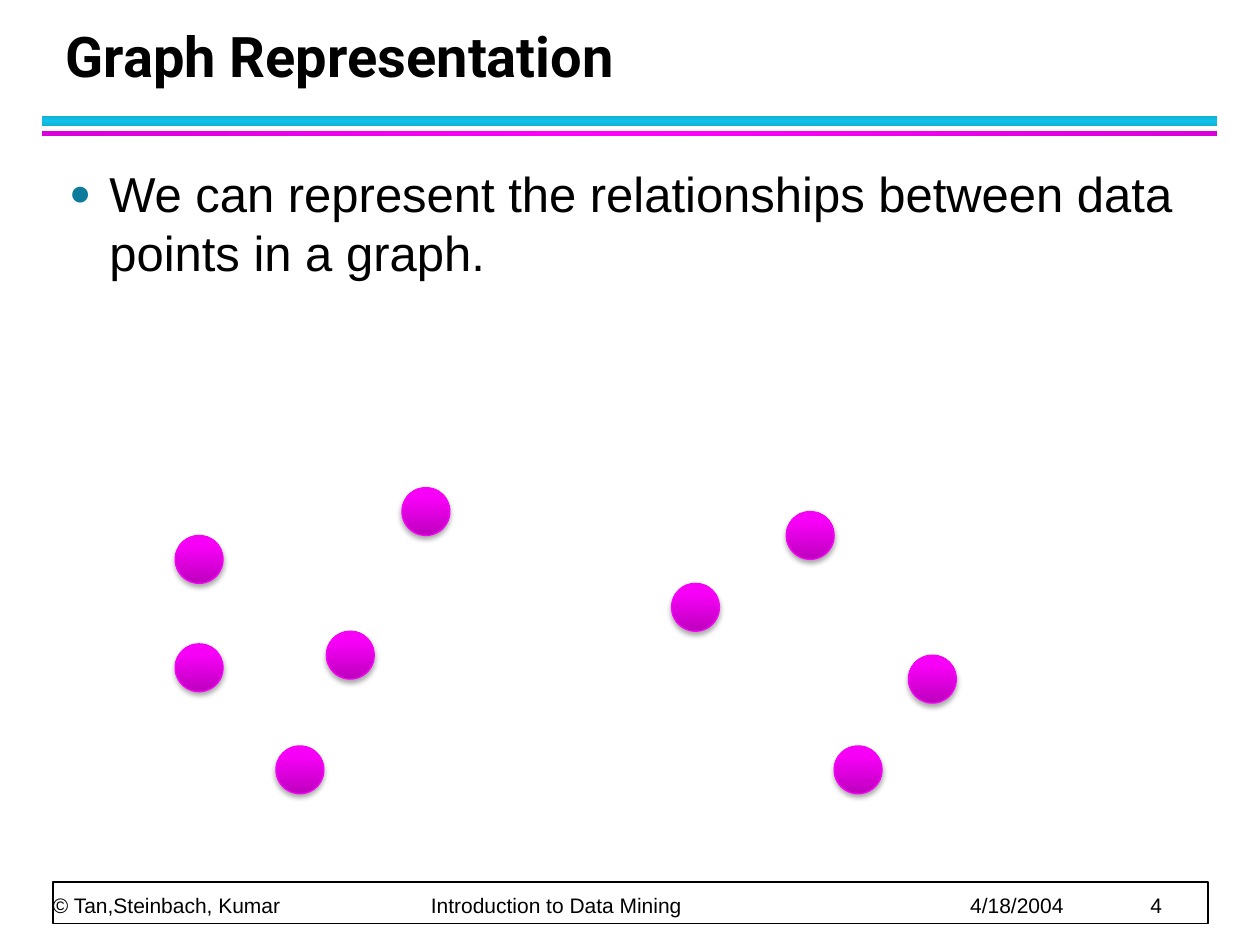
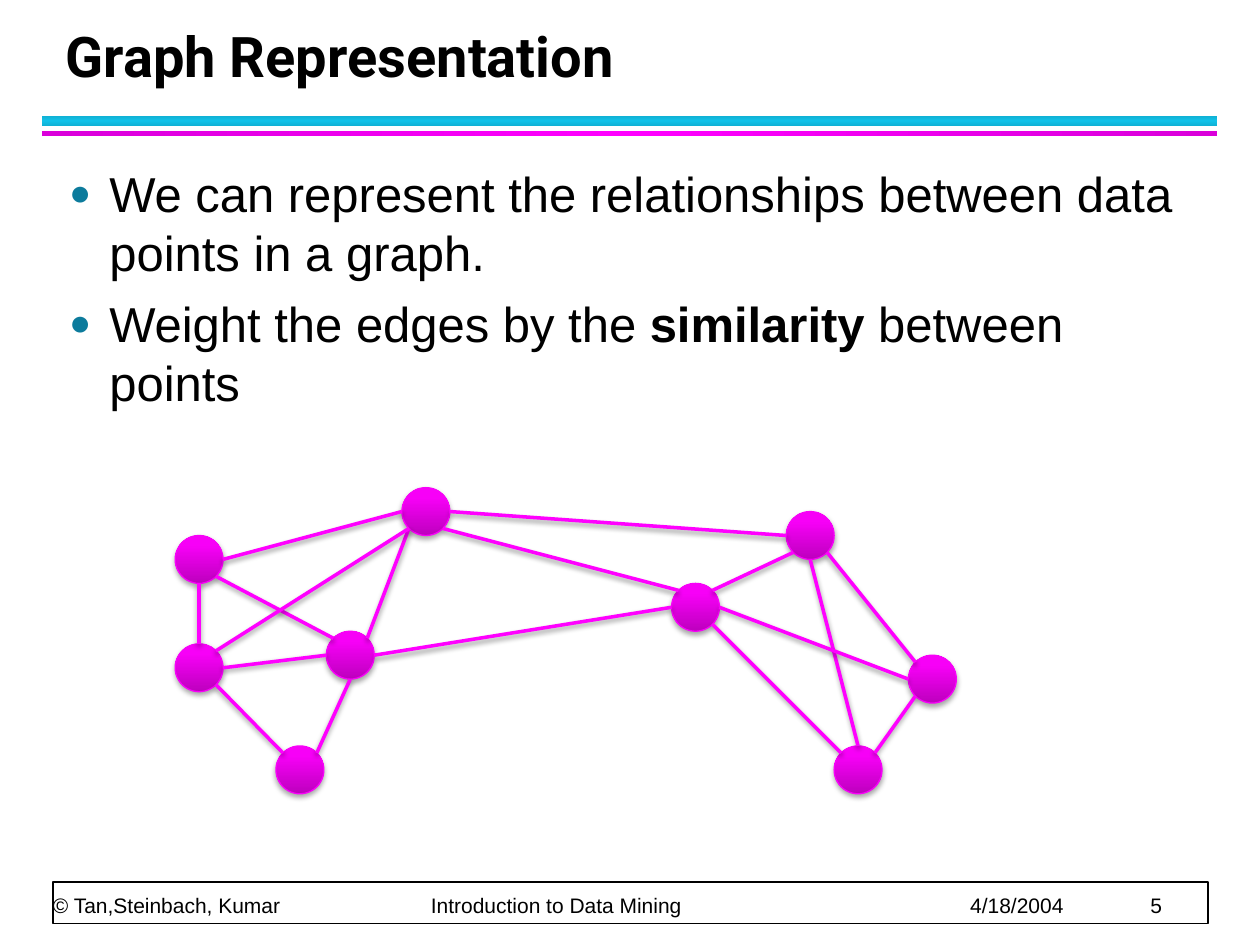
"""Build two slides that turn data points into a similarity graph."""
import math
from typing import Any, NamedTuple

import pptx
import pptx.dml.color
import pptx.enum.shapes
import pptx.enum.text
import pptx.oxml
import pptx.oxml.ns
import pptx.slide
import pptx.util
from pptx.util import Inches

BLACK, WHITE, MAGENTA = "000000", "FFFFFF", "FF00FF"
BULLET, NODE_LINE = "0C7B9C", "F900F9"
NODE_SIZE = 0.38
SHAPE = pptx.enum.shapes.MSO_SHAPE
ANCHOR = pptx.enum.text.MSO_ANCHOR
TITLE_FONT = {"name": "Roboto", "size": pptx.util.Pt(32), "bold": True}
BODY_FONT = {"name": "Arial", "size": pptx.util.Pt(28)}
FOOTER_FONT = {"name": "Arial", "size": pptx.util.Pt(12)}
BODY_SPACING = {"space_before": pptx.util.Pt(3), "space_after": pptx.util.Pt(4)}
NO_INSETS = {f"margin_{side}": 0 for side in ("left", "top", "right", "bottom")}


class Box(NamedTuple):
    """Left, top, width and height in inches."""
    left: float
    top: float
    width: float
    height: float

    def emu(self) -> list[int]:
        """Return the four lengths in slide units."""
        return [Inches(v) for v in self]


class Gradient(NamedTuple):
    """Colour stops by percentage and a direction in degrees."""
    stops: dict[int, str]
    angle: int


class Bar(NamedTuple):
    """A gradient band under the title."""
    box: Box
    gradient: Gradient


class Node(NamedTuple):
    """A data point, placed by its top left corner."""
    left: float
    top: float

    def site(self, index: int) -> tuple[int, int]:
        """Return connection site index, counted counterclockwise from the top."""
        r, angle = NODE_SIZE / 2, math.radians(45 * index)
        return (Inches(self.left + r - r * math.sin(angle)),
                Inches(self.top + r - r * math.cos(angle)))


class Edge(NamedTuple):
    """A link from one node's site to another's."""
    start: str
    start_site: int
    end: str
    end_site: int


class Run(NamedTuple):
    """A piece of text, bold or not."""
    text: str
    bold: bool = False


BARS = [
    Bar(Box(0.33, 0.92, 9.33, 0.08), Gradient({0: "10B0D3", 50: "12C2E9", 100: "10B0D3"}, 90)),
    Bar(Box(0.33, 1.04, 9.33, 0.04), Gradient({0: "DA00DA", 50: MAGENTA, 100: "DA00DA"}, 0)),
]
NODE_FILL = Gradient({0: "BE00BE", 80: "F700F7", 100: "F800F8"}, 270)
NODES = {
    "A": Node(1.39, 4.25), "B": Node(1.39, 5.11), "C": Node(2.59, 5.01),
    "D": Node(3.19, 3.87), "E": Node(5.33, 4.63), "F": Node(6.24, 4.06),
    "G": Node(7.21, 5.2), "H": Node(6.62, 5.92), "I": Node(2.19, 5.92),
}
EDGES = [
    Edge("A", 6, "D", 2), Edge("D", 3, "C", 7), Edge("C", 1, "A", 5),
    Edge("A", 4, "B", 0), Edge("B", 5, "I", 1), Edge("C", 4, "I", 7),
    Edge("B", 6, "C", 2), Edge("B", 7, "D", 3), Edge("D", 6, "F", 2),
    Edge("C", 6, "E", 2), Edge("E", 1, "D", 5), Edge("E", 5, "H", 1),
    Edge("H", 7, "G", 3), Edge("F", 5, "G", 1), Edge("E", 7, "F", 3),
    Edge("F", 4, "H", 0), Edge("E", 6, "G", 2),
]
RELATIONSHIPS = [Run("We can represent the relationships between data points in a graph.")]
WEIGHTS = [Run("Weight the edges by the "), Run("similarity", True), Run(" between points")]


def rgb(value: str) -> pptx.dml.color.RGBColor:
    """Turn a hex string into a colour."""
    return pptx.dml.color.RGBColor.from_string(value)


def xml(markup: str) -> Any:
    """Parse one drawing element, given without its a: namespace declaration."""
    tag, rest = markup[1:].split(" ", 1)
    return pptx.oxml.parse_xml(f"<{tag} {pptx.oxml.ns.nsdecls('a')} {rest}")


def apply(target: Any, values: dict[str, Any]) -> None:
    """Set each named attribute on the target."""
    for name, value in values.items():
        setattr(target, name, value)


def add_shape(s: pptx.slide.Slide, kind: Any, box: Box, gradient: Gradient | None = None,
              line: str | None = None, width: float = 1) -> Any:
    """Add a shape with a gradient or white fill and an optional outline."""
    shape = s.shapes.add_shape(kind, *box.emu())
    shape.shadow.inherit = False
    if gradient:
        stops = "".join(f'<a:gs pos="{pos * 1000}"><a:srgbClr val="{color}"/></a:gs>'
                        for pos, color in gradient.stops.items())
        fill = xml(f'<a:gradFill rotWithShape="1"><a:gsLst>{stops}</a:gsLst>'
                   f'<a:lin ang="{gradient.angle * 60000}" scaled="0"/></a:gradFill>')
        shape._element.spPr.find(pptx.oxml.ns.qn("a:prstGeom")).addnext(fill)
    else:
        shape.fill.solid()
        shape.fill.fore_color.rgb = rgb(WHITE)
    if line:
        shape.line.color.rgb = rgb(line)
        shape.line.width = pptx.util.Pt(width)
    else:
        shape.line.fill.background()
    return shape


def cast_shadow(shape: Any, distance: float, alpha: int) -> None:
    """Give a shape or connector a soft shadow straight below it."""
    spPr = shape._element.spPr
    for old in spPr.findall(pptx.oxml.ns.qn("a:effectLst")):
        spPr.remove(old)
    spPr.append(xml(
        f'<a:effectLst ><a:outerShdw blurRad="{pptx.util.Pt(3.1)}" '
        f'dist="{pptx.util.Pt(distance)}" dir="5400000" rotWithShape="0">'
        f'<a:srgbClr val="{BLACK}"><a:alpha val="{alpha * 1000}"/></a:srgbClr>'
        '</a:outerShdw></a:effectLst>'))


def add_text(s: pptx.slide.Slide, box: Box, paragraphs: list[list[Run]], font: dict[str, Any],
             frame: dict[str, Any], spacing: dict[str, Any]) -> Any:
    """Add a wrapping text box and return its text frame."""
    tf = s.shapes.add_textbox(*box.emu()).text_frame
    apply(tf, {"word_wrap": True, **frame})
    for i, runs in enumerate(paragraphs):
        p = tf.add_paragraph() if i else tf.paragraphs[0]
        apply(p, spacing)
        for run in runs:
            r = p.add_run()
            r.text = run.text
            apply(r.font, {"bold": run.bold, **font})
            r.font.color.rgb = rgb(BLACK)
    return tf


def add_frame(s: pptx.slide.Slide, title: str, number: int) -> None:
    """Draw the title, the bands below it and the footer."""
    for bar in BARS:
        add_shape(s, SHAPE.RECTANGLE, bar.box, bar.gradient)
    add_shape(s, SHAPE.RECTANGLE, Box(0.42, 7, 9.17, 0.33), line=BLACK)
    footer = f"© Tan,Steinbach, Kumar\tIntroduction to Data Mining\t4/18/2004\t{number}"
    tf = add_text(s, Box(0.42, 7, 9.15, 0.28), [[Run(footer)]], FOOTER_FONT,
                  {"vertical_anchor": ANCHOR.BOTTOM, **NO_INSETS},
                  {"line_spacing": pptx.util.Pt(20)})
    tabs = "".join(f'<a:tab pos="{Inches(x)}" algn="l"/>' for x in (3, 7.28, 8.71))
    tf.paragraphs[0]._p.get_or_add_pPr().append(xml(f"<a:tabLst >{tabs}</a:tabLst>"))
    add_text(s, Box(0.42, 0.17, 9.06, 0.58), [[Run(title)]], TITLE_FONT,
             {"vertical_anchor": ANCHOR.BOTTOM}, {"line_spacing": pptx.util.Pt(36)})


def add_bullets(s: pptx.slide.Slide, bullets: list[list[Run]]) -> None:
    """Add the bulleted body text."""
    tf = add_text(s, Box(0.45, 1.25, 9.1, 5.67), bullets, BODY_FONT, {}, BODY_SPACING)
    for p in tf.paragraphs:
        pPr = p._p.get_or_add_pPr()
        pPr.set("marL", str(Inches(0.32)))
        pPr.set("indent", str(-Inches(0.32)))
        for markup in (f'<a:buClr ><a:srgbClr val="{BULLET}"/></a:buClr>',
                       '<a:buSzPct val="75000"/>', '<a:buFont typeface="Arial"/>',
                       '<a:buChar char="●"/>'):
            pPr.append(xml(markup))


def add_nodes(s: pptx.slide.Slide) -> dict[str, Any]:
    """Draw the data points and return their shapes by name."""
    shapes = {}
    for name, node in NODES.items():
        box = Box(node.left, node.top, NODE_SIZE, NODE_SIZE)
        shapes[name] = add_shape(s, SHAPE.OVAL, box, NODE_FILL, NODE_LINE, 0.75)
        cast_shadow(shapes[name], 1.8, 35)
    return shapes


def add_edge(s: pptx.slide.Slide, edge: Edge, shapes: dict[str, Any]) -> None:
    """Draw one edge and join it to both of its nodes."""
    c = s.shapes.add_connector(pptx.enum.shapes.MSO_CONNECTOR.STRAIGHT,
                               *NODES[edge.start].site(edge.start_site),
                               *NODES[edge.end].site(edge.end_site))
    c.line.color.rgb = rgb(MAGENTA)
    c.line.width = pptx.util.Pt(2)
    cast_shadow(c, 1.6, 38)
    joints = c._element.find(".//" + pptx.oxml.ns.qn("p:cNvCxnSpPr"))
    for tag, name, site in (("stCxn", edge.start, edge.start_site),
                            ("endCxn", edge.end, edge.end_site)):
        joints.append(xml(f'<a:{tag} id="{shapes[name].shape_id}" idx="{site}"/>'))


def add_slide(prs: Any, number: int, bullets: list[list[Run]], edges: list[Edge]) -> None:
    """Add one graph slide."""
    s = prs.slides.add_slide(prs.slide_layouts[6])
    add_frame(s, "Graph Representation", number)
    add_bullets(s, bullets)
    shapes = add_nodes(s)
    for edge in edges:
        add_edge(s, edge, shapes)


def main() -> None:
    """Build and save the presentation."""
    prs = pptx.Presentation()
    apply(prs, {"slide_width": Inches(10), "slide_height": Inches(7.5)})
    add_slide(prs, 4, [RELATIONSHIPS], [])
    add_slide(prs, 5, [RELATIONSHIPS, WEIGHTS], EDGES)
    prs.save("out.pptx")


if __name__ == "__main__":
    main()
